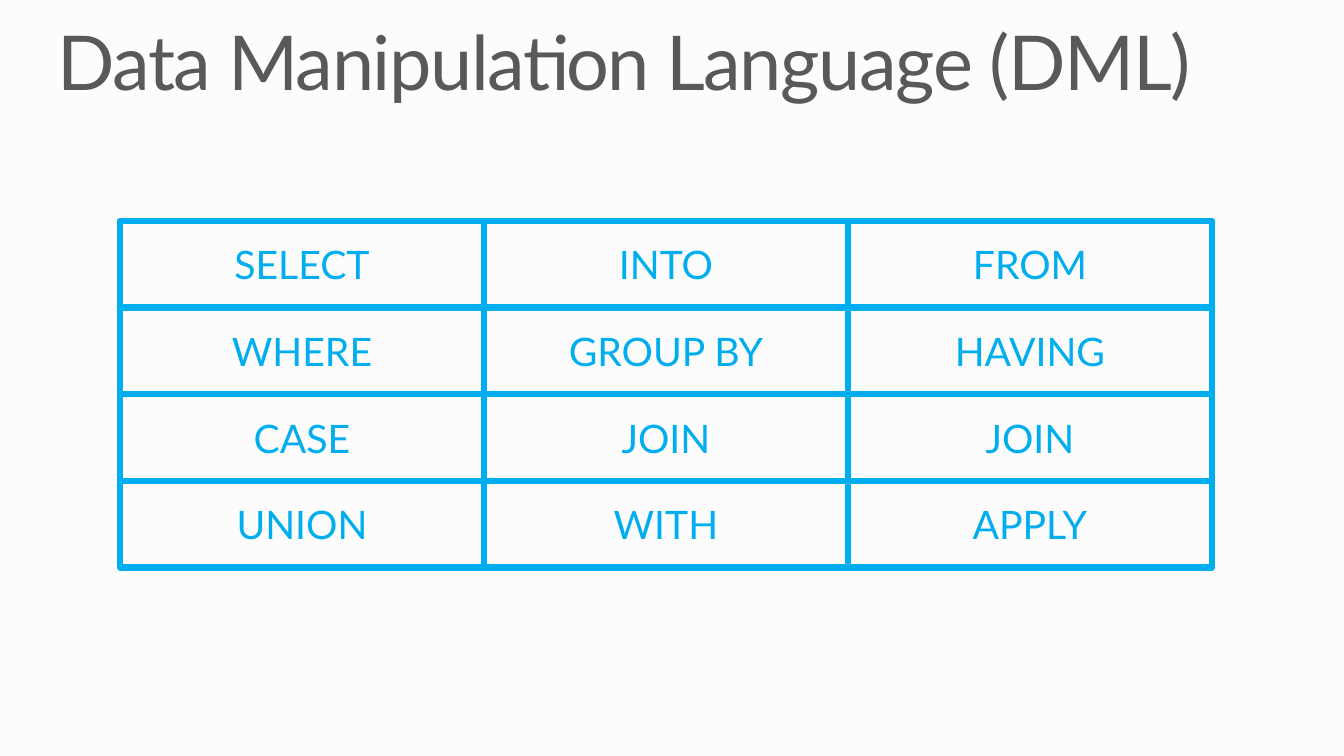
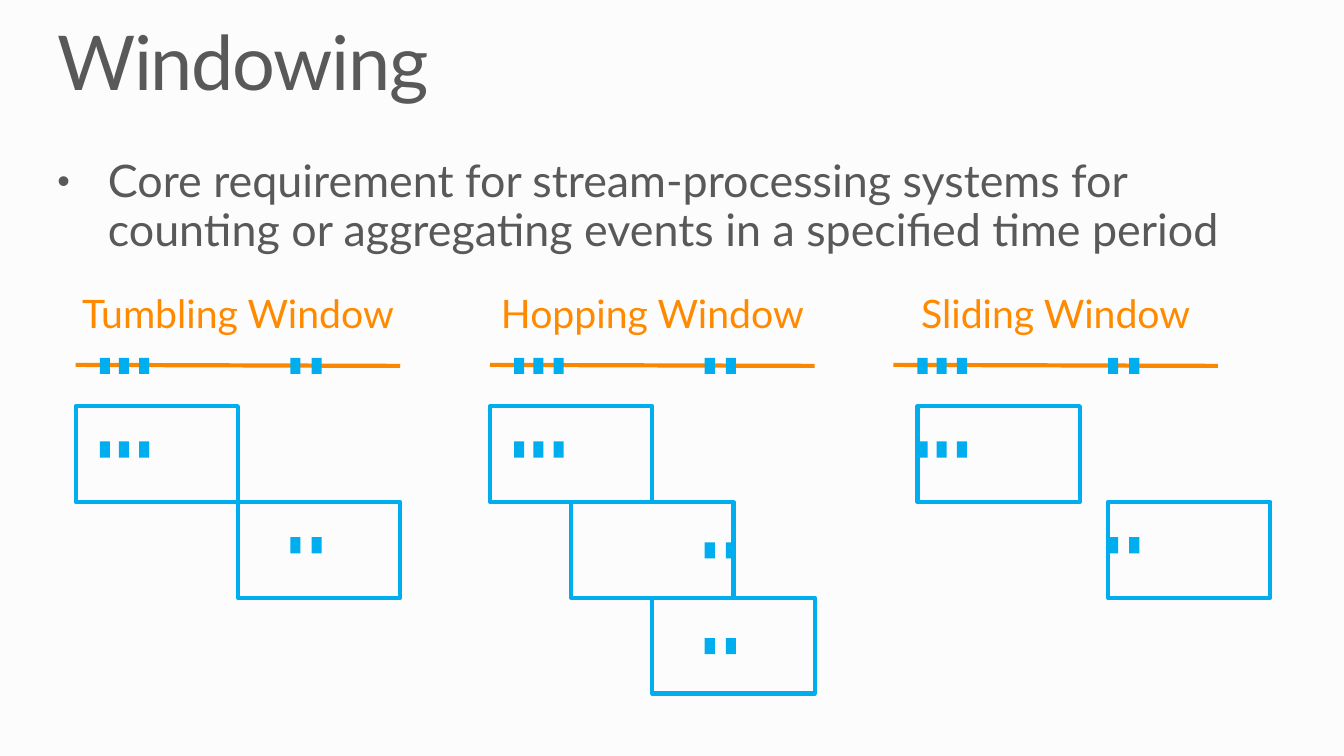
import pptx
import pptx.util
import pptx.dml.color
import pptx.enum.shapes
import pptx.enum.text
import pptx.oxml
import pptx.oxml.ns

Inches, Pt = pptx.util.Inches, pptx.util.Pt
RGB = pptx.dml.color.RGBColor
ALIGN = pptx.enum.text.PP_ALIGN
ns = pptx.oxml.ns

PAPER = RGB(0xFC, 0xFC, 0xFC)
GRAY = RGB(0x59, 0x59, 0x59)
BLUE = RGB(0x00, 0xAE, 0xEF)
ORANGE = RGB(0xFF, 0x8A, 0x00)
AMBER = RGB(0xF9, 0x87, 0x00)
FONT = "Lato"
LEFT = 0.57

# Keyword grid
WORDS = [
    ["SELECT", "INTO", "FROM"],
    ["WHERE", "GROUP BY", "HAVING"],
    ["CASE", "JOIN", "JOIN"],
    ["UNION", "WITH", "APPLY"],
]
GRID_X, GRID_Y, COL, ROW = 1.19, 2.19, 3.61, 0.86

# Window diagrams
POINT = ("Core requirement for stream-processing systems for counting or "
         "aggregating events in a specified time period")
SPAN = 3.22                # length of a time line
WIN, TALL = SPAN / 2, 0.95  # size of one window
EARLY = [0.24, 0.43, 0.63]  # events, measured from the start of the line
LATE = [2.13, 2.34]
# title, left, windows as (start, events, drop of events below window top)
KINDS = [
    ("Tumbling Window", 0.75, [(0, EARLY, 0.35), (WIN, LATE, 0.35)]),
    ("Hopping Window", 4.86, [(0, EARLY, 0.35), (WIN / 2, LATE, 0.4),
                              (WIN, LATE, 0.4)]),
    ("Sliding Window", 8.86, [(EARLY[0], EARLY, 0.35),
                              (LATE[0], LATE, 0.35)]),
]
LABEL_Y, LINE_Y, EVENT_Y, WIN_Y = 2.92, 3.62, 3.55, 4.03


def write(frame, text, size, color, align=ALIGN.LEFT):
    para = frame.paragraphs[0]
    para.alignment = align
    run = para.add_run()
    run.text = text
    run.font.name, run.font.size = FONT, Pt(size)
    run.font.color.rgb = color
    return para, run


def label(slide, box, text, size, color, align=ALIGN.LEFT):
    """Add a text box without margins, with tight lines."""
    frame = slide.shapes.add_textbox(*map(Inches, box)).text_frame
    frame.word_wrap = True
    frame.margin_left = frame.margin_right = 0
    frame.margin_top = frame.margin_bottom = 0
    para, run = write(frame, text, size, color, align)
    para.line_spacing = 0.9
    return para, run


def rect(slide, box, fill=None, width=None):
    """Add a rectangle, either filled or outlined in blue."""
    shape = slide.shapes.add_shape(
        pptx.enum.shapes.MSO_SHAPE.RECTANGLE, *map(Inches, box))
    shape.shadow.inherit = False
    if fill is None:
        shape.fill.background()
    else:
        shape.fill.solid()
        shape.fill.fore_color.rgb = fill
    if width is None:
        shape.line.fill.background()
    else:
        shape.line.color.rgb = BLUE
        shape.line.width = Pt(width)
    return shape


def page(deck, title):
    slide = deck.slides.add_slide(deck.slide_layouts[6])
    slide.background.fill.solid()
    slide.background.fill.fore_color.rgb = PAPER
    run = label(slide, (LEFT, 0.25, 12.2, 0.82), title, 54, GRAY)[1]
    run.font._element.set("spc", "-100")
    return slide


def bullet(para):
    props = para._p.get_or_add_pPr()
    props.set("marL", str(Inches(0.5)))
    props.set("indent", str(Inches(-0.5)))
    for tag, key, value in (("a:buSzPct", "val", "80000"),
                            ("a:buFont", "typeface", "Arial"),
                            ("a:buChar", "char", "•")):
        item = pptx.oxml.parse_xml(f"<{tag} {ns.nsdecls('a')}/>")
        item.set(key, value)
        props.append(item)


def axis(slide, left):
    line = slide.shapes.add_connector(
        pptx.enum.shapes.MSO_CONNECTOR.STRAIGHT,
        *map(Inches, (left, LINE_Y, left + SPAN, LINE_Y + 0.01)))
    line.line.color.rgb = AMBER
    line.line.width = Pt(3)
    line._element.spPr.append(
        pptx.oxml.parse_xml(f"<a:effectLst {ns.nsdecls('a')}/>"))


def events(slide, left, top, spots):
    for spot in spots:
        rect(slide, (left + spot, top, 0.1, 0.16), fill=BLUE)


def grid(slide):
    for r, words in enumerate(WORDS):
        for c, word in enumerate(words):
            cell = rect(slide, (GRID_X + c * COL, GRID_Y + r * ROW, COL, ROW),
                        width=4.5)
            frame = cell.text_frame
            frame.vertical_anchor = pptx.enum.text.MSO_ANCHOR.MIDDLE
            write(frame, word, 28, BLUE, ALIGN.CENTER)


def kind(slide, name, left, wins):
    label(slide, (left, LABEL_Y, SPAN, 0.42), name, 28, ORANGE, ALIGN.CENTER)
    axis(slide, left)
    events(slide, left, EVENT_Y, EARLY + LATE)
    for row, (start, spots, drop) in enumerate(wins):
        top = WIN_Y + row * TALL
        rect(slide, (left + start, top, WIN, TALL), width=3)
        events(slide, left, top + drop, spots)


def main():
    deck = pptx.Presentation()
    deck.slide_width, deck.slide_height = Inches(13.33), Inches(7.5)
    grid(page(deck, "Data Manipulation Language (DML)"))
    slide = page(deck, "Windowing")
    bullet(label(slide, (LEFT, 1.58, 12.03, 0.97), POINT, 32, GRAY)[0])
    for item in KINDS:
        kind(slide, *item)
    deck.save("out.pptx")


if __name__ == "__main__":
    main()
